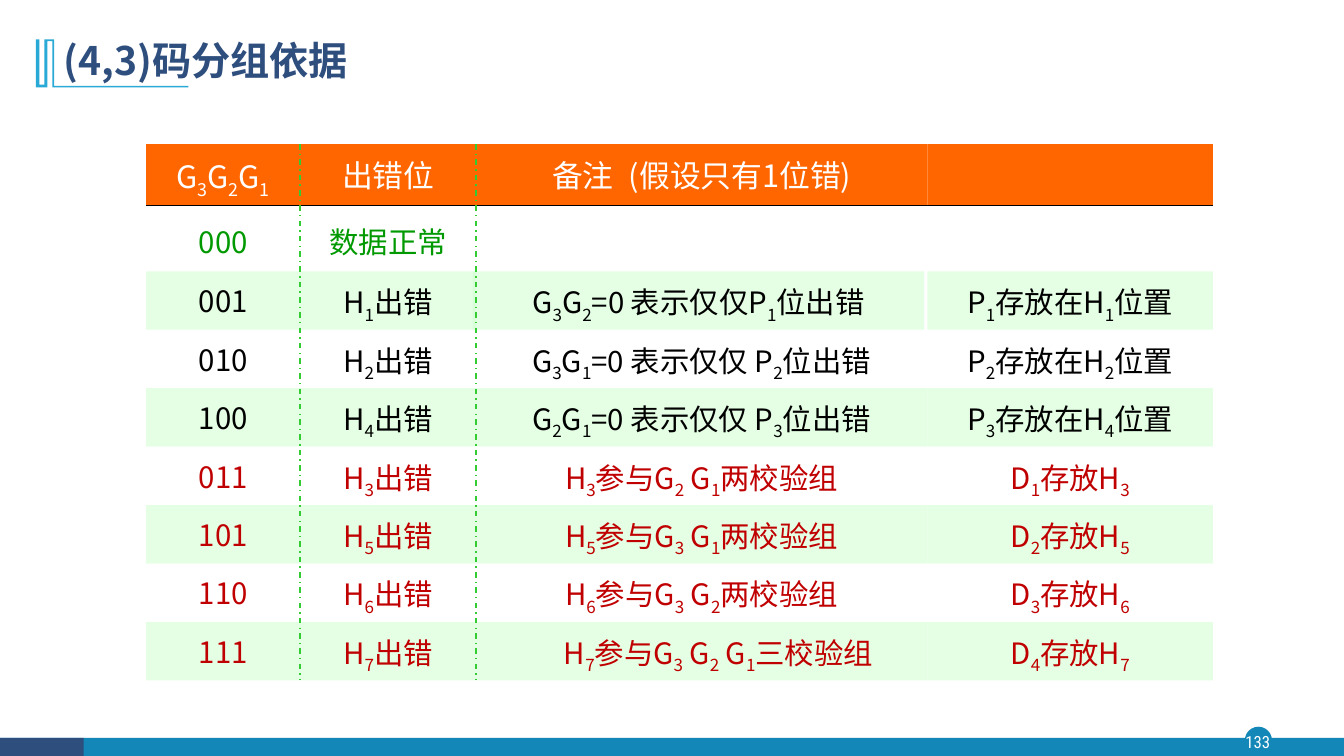
from dataclasses import dataclass
from itertools import accumulate

from lxml.etree import SubElement
from pptx import Presentation
from pptx.dml.color import RGBColor
from pptx.enum.dml import MSO_LINE
from pptx.enum.shapes import MSO_CONNECTOR, MSO_SHAPE
from pptx.enum.text import MSO_ANCHOR, MSO_AUTO_SIZE, PP_ALIGN
from pptx.oxml.ns import qn
from pptx.util import Pt

SANS = "Noto Sans CJK SC"
CONDENSED = "Roboto Condensed"
NAVY, BLUE, SKY = "2E4E7E", "1387B7", "28A9D6"
ORANGE, MINT, WHITE, BLACK = "FF6600", "CCFFCC", "FFFFFF", "000000"
GREEN, RED, DASH_GREEN = "009900", "C00000", "33CC33"

TITLE_FORMAT = {"size": Pt(28), "bold": True, "name": SANS}
HEAD_FORMAT = {"size": Pt(22), "name": SANS}
BODY_FORMAT = {"size": Pt(21), "name": SANS}
NUMBER_FORMAT = {"size": Pt(12), "name": CONDENSED}

# Grid geometry in points
GRID_LEFT, GRID_TOP = 104.4, 103
COLUMN_WIDTHS = [110, 125.6, 322.4, 204]
ROW_HEIGHTS = [44, 46.8] + [41.75] * 7
COLUMN_EDGES = list(accumulate(COLUMN_WIDTHS, initial=GRID_LEFT))
ROW_EDGES = list(accumulate(ROW_HEIGHTS, initial=GRID_TOP))
NOTE_COLUMN, FIRST_ERROR_ROW, LAST_ERROR_ROW = 2, 2, 8


@dataclass(frozen=True)
class Row:
    """One grid row; an underscore makes the next character a subscript."""
    texts: tuple[str, str, str, str]
    color: str


@dataclass(frozen=True)
class Block:
    kind: MSO_SHAPE
    left: float
    top: float
    width: float
    height: float
    color: str


@dataclass(frozen=True)
class Rule:
    x1: float
    y1: float
    x2: float
    y2: float
    color: str
    dashed: bool


ROWS = [
    Row(("G_3G_2G_1", "出错位", "备注\u2002(假设只有1位错)", ""), WHITE),
    Row(("000", "数据正常", "", ""), GREEN),
    Row(("001", "H_1出错", "G_3G_2=0 表示仅仅P_1位出错", "P_1存放在H_1位置"), BLACK),
    Row(("010", "H_2出错", "G_3G_1=0 表示仅仅 P_2位出错", "P_2存放在H_2位置"), BLACK),
    Row(("100", "H_4出错", "G_2G_1=0 表示仅仅 P_3位出错", "P_3存放在H_4位置"), BLACK),
    Row(("011", "H_3出错", "H_3参与G_2 G_1两校验组", "D_1存放H_3"), RED),
    Row(("101", "H_5出错", "H_5参与G_3 G_1两校验组", "D_2存放H_5"), RED),
    Row(("110", "H_6出错", "H_6参与G_3 G_2两校验组", "D_3存放H_6"), RED),
    Row(("111", "H_7出错", "H_7参与G_3 G_2 G_1三校验组", "D_4存放H_7"), RED),
]

FOOTER = [
    Block(MSO_SHAPE.OVAL, 889.2, 519.1, 19.4, 19.4, BLUE),
    Block(MSO_SHAPE.RECTANGLE, 0, 527, 960, 13, BLUE),
    Block(MSO_SHAPE.RECTANGLE, 0, 527, 59.8, 13, NAVY),
]

TITLE_MARK = [
    (38.6, 28.1), (38.6, 61.4), (134.6, 61.4), (134.6, 62.4), (37.4, 62.4),
    (37.4, 29.5), (33.8, 29.5), (33.8, 62.4), (25.6, 62.4), (25.6, 28.1),
    (28.1, 28.1), (28.1, 60.5), (31.7, 60.5), (31.7, 28.1),
]


def rgb(color: str) -> RGBColor:
    return RGBColor.from_string(color)


def paint(shape, color: str, opacity: int = 100) -> None:
    shape.shadow.inherit = False
    shape.fill.solid()
    shape.fill.fore_color.rgb = rgb(color)
    shape.line.fill.background()
    if opacity < 100:
        tint = shape._element.spPr.find(qn("a:solidFill")).find(qn("a:srgbClr"))
        SubElement(tint, qn("a:alpha"), val=str(opacity * 1000))


def add_span(para, text: str, style: dict, color: str, subscript: bool = False) -> None:
    span = para.add_run()
    span.text = text
    for name, value in style.items():
        setattr(span.font, name, value)
    span.font.color.rgb = rgb(color)
    properties = span._r.get_or_add_rPr()
    SubElement(properties, qn("a:ea"), typeface=style["name"])
    if subscript:
        properties.set("baseline", "-25000")


def write(para, text: str, style: dict, color: str) -> None:
    plain, *parts = text.split("_")
    if plain:
        add_span(para, plain, style, color)
    for part in parts:
        add_span(para, part[0], style, color, subscript=True)
        if part[1:]:
            add_span(para, part[1:], style, color)


def format_frame(frame, side: float, end: float, anchor: MSO_ANCHOR) -> None:
    settings = {
        "word_wrap": True, "auto_size": MSO_AUTO_SIZE.NONE, "vertical_anchor": anchor,
        "margin_left": Pt(side), "margin_right": Pt(side),
        "margin_top": Pt(end), "margin_bottom": Pt(end),
    }
    for name, value in settings.items():
        setattr(frame, name, value)


def add_block(page, block: Block, opacity: int = 100):
    shape = page.shapes.add_shape(block.kind, Pt(block.left), Pt(block.top),
                                  Pt(block.width), Pt(block.height))
    paint(shape, block.color, opacity)
    return shape


def add_rule(page, rule: Rule) -> None:
    line = page.shapes.add_connector(MSO_CONNECTOR.STRAIGHT, Pt(rule.x1), Pt(rule.y1),
                                     Pt(rule.x2), Pt(rule.y2))
    line.line.color.rgb = rgb(rule.color)
    line.line.width = Pt(1)
    if rule.dashed:
        line.line.dash_style = MSO_LINE.DASH_DOT
    SubElement(line._element.spPr, qn("a:effectLst"))


def add_cell(page, index: int, column: int) -> None:
    row = ROWS[index]
    is_head = index == 0
    band = ORANGE if is_head else (WHITE, MINT)[index % 2 == 0]
    # The first note is set a little to the left, which leaves a gap
    shift = -2.2 if (index, column) == (FIRST_ERROR_ROW, NOTE_COLUMN) else 0
    cell = add_block(page, Block(MSO_SHAPE.RECTANGLE, COLUMN_EDGES[column] + shift,
                                 ROW_EDGES[index], COLUMN_WIDTHS[column],
                                 ROW_HEIGHTS[index], band), 100 if is_head else 50)
    if not row.texts[column]:
        return
    frame = cell.text_frame
    format_frame(frame, 7.2, 3.6, MSO_ANCHOR.MIDDLE if index == 1 else MSO_ANCHOR.TOP)
    if (index, column) == (LAST_ERROR_ROW, NOTE_COLUMN):
        frame.margin_left = Pt(31.2)
    para = frame.paragraphs[0]
    para.alignment = PP_ALIGN.CENTER
    para.line_spacing = 1.2
    write(para, row.texts[column], HEAD_FORMAT if is_head else BODY_FORMAT, row.color)


def add_error_grid(page) -> None:
    for index in range(len(ROWS)):
        for column in range(len(COLUMN_WIDTHS)):
            add_cell(page, index, column)

    # Rules over the grid
    add_rule(page, Rule(GRID_LEFT, ROW_EDGES[1], COLUMN_EDGES[-1], ROW_EDGES[1], BLACK, False))
    for x in COLUMN_EDGES[1:3]:
        add_rule(page, Rule(x, GRID_TOP, x, ROW_EDGES[-1], DASH_GREEN, True))


def main() -> None:
    deck = Presentation()
    deck.slide_width, deck.slide_height = Pt(960), Pt(540)
    page = deck.slides.add_slide(deck.slide_layouts[5])

    # Footer with page number
    for block in FOOTER:
        add_block(page, block)
    box = page.shapes.add_textbox(Pt(887), Pt(519.1), Pt(23), Pt(22))
    format_frame(box.text_frame, 0, 0, MSO_ANCHOR.MIDDLE)
    number = box.text_frame.paragraphs[0]
    number.alignment = PP_ALIGN.CENTER
    write(number, "133", NUMBER_FORMAT, WHITE)

    # Title and its mark
    start, *corners = [(Pt(x), Pt(y)) for x, y in TITLE_MARK]
    builder = page.shapes.build_freeform(*start)
    builder.add_line_segments(corners, close=True)
    paint(builder.convert_to_shape(), SKY)
    title = page.shapes.title
    title.left, title.top, title.width, title.height = Pt(38.2), Pt(20.2), Pt(828), Pt(49)
    format_frame(title.text_frame, 7.2, 3.6, MSO_ANCHOR.MIDDLE)
    heading = title.text_frame.paragraphs[0]
    heading.alignment = PP_ALIGN.LEFT
    heading.line_spacing = 0.9
    write(heading, "(4,3)码分组依据", TITLE_FORMAT, NAVY)

    add_error_grid(page)
    deck.save("out.pptx")


if __name__ == "__main__":
    main()
